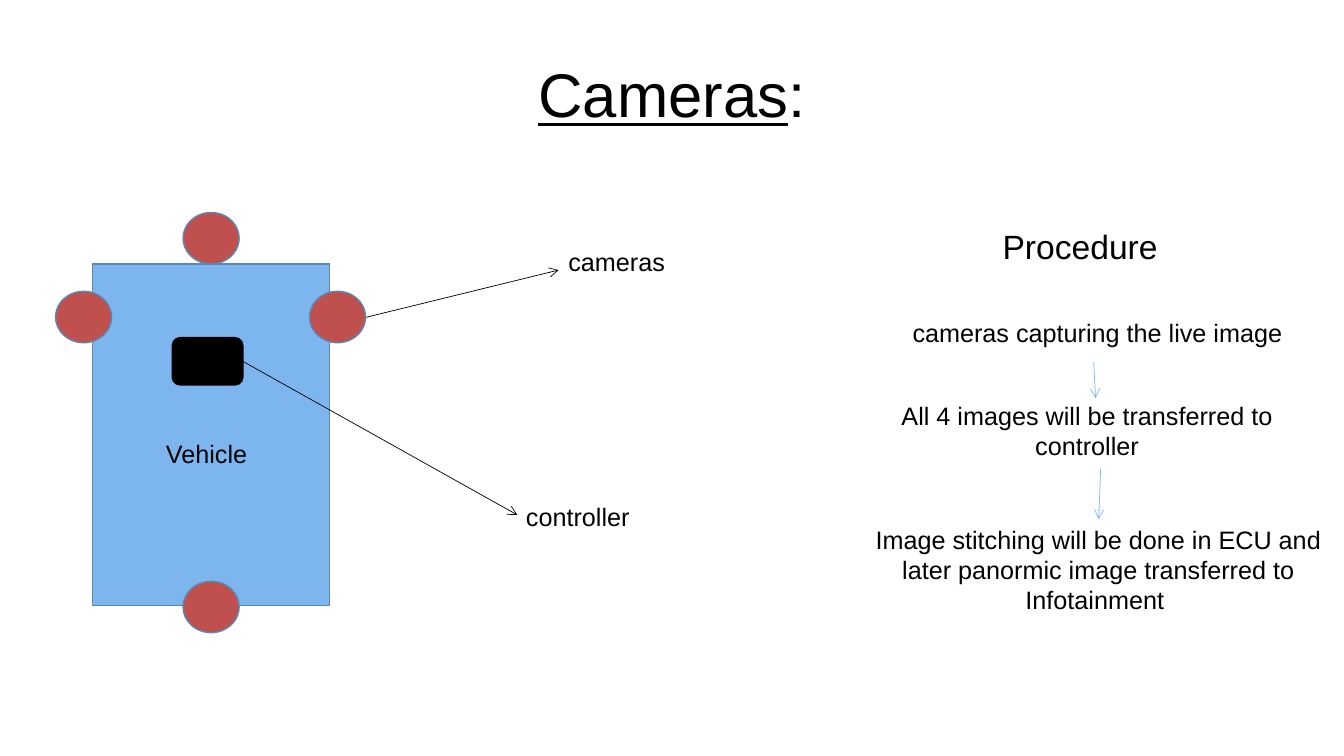
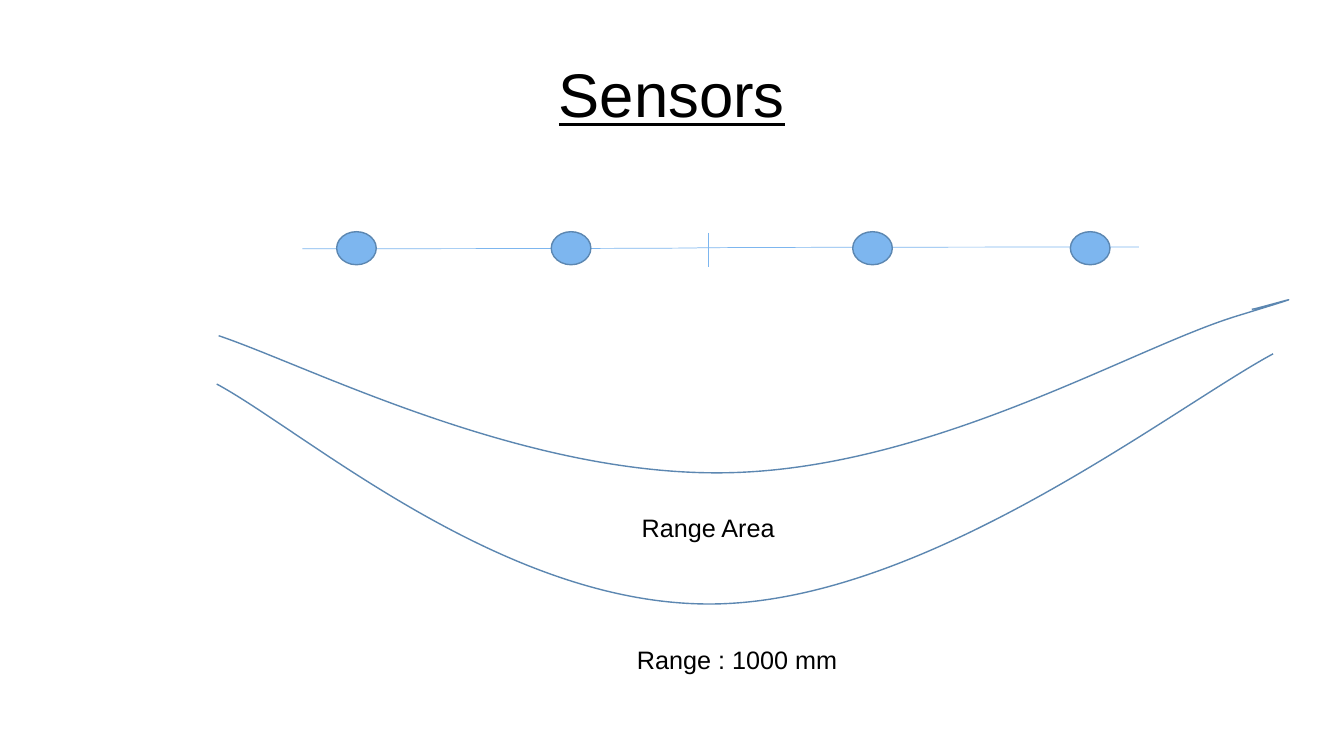
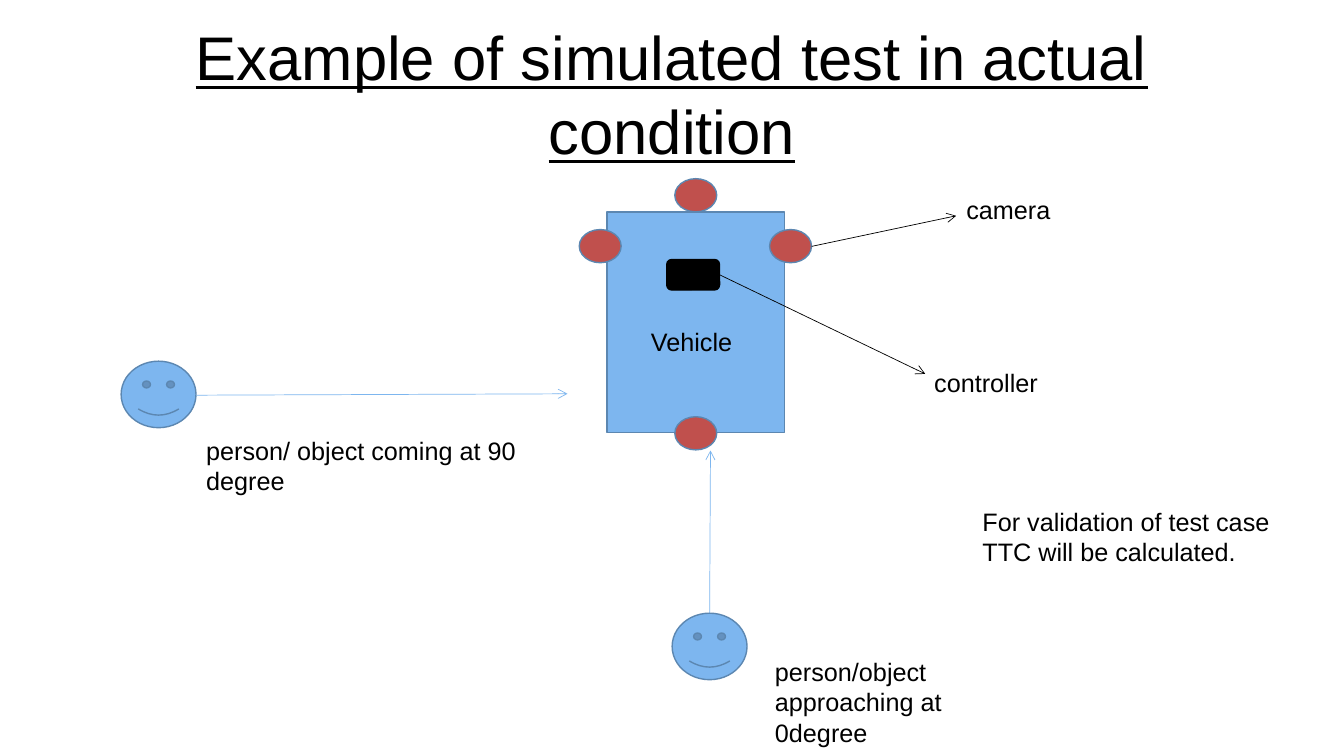
from lxml.etree import SubElement
from pptx import Presentation
from pptx.dml.color import RGBColor
from pptx.enum.shapes import MSO_CONNECTOR, MSO_SHAPE
from pptx.enum.text import MSO_ANCHOR, MSO_AUTO_SIZE, PP_ALIGN
from pptx.oxml.ns import qn
from pptx.util import Pt

BLACK = RGBColor(0x00, 0x00, 0x00)
SKY = RGBColor(0x7D, 0xB6, 0xEF)
STEEL = RGBColor(0x5C, 0x87, 0xB1)
RED = RGBColor(0xC0, 0x50, 0x4D)
FONT = "Arial"
TITLE_ONLY = 5
VEHICLE_WIDTH, VEHICLE_HEIGHT = 169.2, 244


def style_paragraph(para, size, align):
    """Give a paragraph the deck's font."""
    para.alignment = align
    para.font.name = FONT
    para.font.size = Pt(size)
    para.font.color.rgb = BLACK


def add_page(deck, title, suffix=""):
    """Add a slide with an underlined title and a plain suffix."""
    page = deck.slides.add_slide(deck.slide_layouts[TITLE_ONLY])
    box = page.shapes.title
    box.left, box.top, box.width, box.height = Pt(48), Pt(21.6), Pt(864), Pt(90)
    frame = box.text_frame
    frame.auto_size = MSO_AUTO_SIZE.NONE
    frame.vertical_anchor = MSO_ANCHOR.MIDDLE
    para = frame.paragraphs[0]
    style_paragraph(para, 44, PP_ALIGN.CENTER)
    span = para.add_run()
    span.text = title
    span.font.underline = True
    if suffix:
        para.add_run().text = suffix
    return page


def add_label(page, text, left, top, width, lines=1, size=18, align=PP_ALIGN.LEFT):
    """Add a wrapped text box that grows with its text."""
    height = 7.2 + lines * size * 1.2
    box = page.shapes.add_textbox(Pt(left), Pt(top), Pt(width), Pt(height))
    frame = box.text_frame
    frame.word_wrap = True
    frame.auto_size = MSO_AUTO_SIZE.SHAPE_TO_FIT_TEXT
    para = frame.paragraphs[0]
    para.text = text
    style_paragraph(para, size, align)


def add_figure(page, kind, left, top, width, height, fill=SKY, line=STEEL):
    """Add a filled and outlined preset shape."""
    shape = page.shapes.add_shape(kind, Pt(left), Pt(top), Pt(width), Pt(height))
    shape.shadow.inherit = False
    shape.fill.solid()
    shape.fill.fore_color.rgb = fill
    shape.line.color.rgb = line
    shape.line.width = Pt(1)


def add_line(page, start, end, color=SKY, arrow=True, kind=MSO_CONNECTOR.STRAIGHT):
    """Add a thin connector, with an open arrowhead if wanted."""
    ends = [Pt(value) for value in (*start, *end)]
    connector = page.shapes.add_connector(kind, *ends)
    connector.line.color.rgb = color
    connector.line.width = Pt(0.5)
    properties = connector.element.spPr
    if arrow:
        SubElement(properties.find(qn("a:ln")), qn("a:tailEnd"), type="arrow")
    SubElement(properties, qn("a:effectLst"))
    return connector


def add_curve(page, left, top, width, height, start, *segments):
    """Add an open chain of cubic Bezier segments in the given frame."""
    builder = page.shapes.build_freeform(Pt(left), Pt(top))
    builder.add_line_segments([(Pt(left + width), Pt(top + height))], close=False)
    curve = builder.convert_to_shape()
    outline = next(curve.element.iter(qn("a:path")))
    for step in list(outline):
        outline.remove(step)
    for tag, points in [("a:moveTo", [start])] + [("a:cubicBezTo", part) for part in segments]:
        step = SubElement(outline, qn(tag))
        for x, y in points:
            SubElement(step, qn("a:pt"), x=str(int(Pt(x - left))), y=str(int(Pt(y - top))))
    curve.shadow.inherit = False
    curve.fill.background()
    curve.line.color.rgb = STEEL
    curve.line.width = Pt(1)


def add_vehicle(page, left, top, width=VEHICLE_WIDTH, height=VEHICLE_HEIGHT):
    """Add the vehicle with four cameras, its controller and their arrows."""
    scale_x, scale_y = width / VEHICLE_WIDTH, height / VEHICLE_HEIGHT

    def place(x, y):
        return left + x * scale_x, top + y * scale_y

    def add_part(kind, x, y, part_width, part_height, fill, line):
        size = part_width * scale_x, part_height * scale_y
        add_figure(page, kind, *place(x, y), *size, fill, line)

    add_part(MSO_SHAPE.RECTANGLE, 0, 0, VEHICLE_WIDTH, VEHICLE_HEIGHT, SKY, STEEL)
    for x, y in ((64.6, -36.8), (64.6, 226.6), (154.9, 19.5), (-26.5, 19.5)):
        add_part(MSO_SHAPE.OVAL, x, y, 40, 36.7, RED, STEEL)
    add_label(page, "Vehicle ", *place(27.7, 121), 112.3 * scale_x, align=PP_ALIGN.CENTER)
    add_line(page, place(195.1, 38.1), place(332.8, 4.3), BLACK)
    add_part(MSO_SHAPE.ROUNDED_RECTANGLE, 56.9, 52.6, 50.4, 33.8, BLACK, BLACK)
    add_line(page, place(107.4, 69.6), place(303.3, 179.2), BLACK)
    add_label(page, "controller", *place(302.4, 166.3), 137.5 * scale_x)


def build_cameras(deck):
    """Build the slide on cameras and the image procedure."""
    page = add_page(deck, "Cameras", ":")
    add_vehicle(page, 66.2, 188.6)
    add_label(page, "cameras", 398.9, 172.4, 149)
    add_label(page, "Procedure", 592.6, 157.7, 357.8, size=24, align=PP_ALIGN.CENTER)
    steps = (
        ("cameras capturing the live image", 617.2, 223.2, 1),
        ("All 4 images will be transferred to controller", 609.8, 282.2, 2),
        ("Image stitching will be done in ECU and later panormic image "
         "transferred to Infotainment ", 617.8, 370.8, 3),
    )
    for text, left, top, lines in steps:
        add_label(page, text, left, top, 333.4, lines, align=PP_ALIGN.CENTER)
    add_line(page, (781.2, 258.5), (782.6, 284.4))
    add_line(page, (786.2, 334.8), (784.8, 370.8))


def build_sensors(deck):
    """Build the slide on sensors and their range."""
    page = add_page(deck, "Sensors")
    axis = add_line(page, (216, 177.7), (813.6, 176.5), arrow=False, kind=MSO_CONNECTOR.CURVE)
    guides = next(axis.element.iter(qn("a:avLst")))
    SubElement(guides, qn("a:gd"), name="adj1", fmla="val 47200")
    for left in (240.5, 393.8, 609.1, 764.6):
        add_figure(page, MSO_SHAPE.OVAL, left, 165.5, 28.3, 23.6)
    add_line(page, (505.8, 166.3), (505.8, 190.8), arrow=False)
    add_curve(page, 156.2, 213.8, 764.6, 123.8, (156.2, 239.8),
              ((221.8, 262), (374.4, 340.6), (519.8, 337.7)),
              ((665.3, 334.8), (807.8, 249.1), (882.7, 226)),
              ((957.6, 203), (899.3, 220.3), (894.2, 221)))
    add_curve(page, 154.8, 252.7, 754.6, 178.6, (154.8, 274.3),
              ((218.9, 308.9), (362.9, 435.6), (514, 431.3)),
              ((665.3, 427), (837.4, 291.6), (909.4, 252.7)))
    add_label(page, "Range Area", 374.4, 362.5, 262.8, align=PP_ALIGN.CENTER)
    add_label(page, "Range : 1000 mm", 447.9, 456.5, 180.7)


def build_test_example(deck):
    """Build the slide on the simulated test."""
    page = add_page(deck, "Example of simulated test in actual condition")
    for left, top in ((480.1, 438), (86.5, 258)):
        add_figure(page, MSO_SHAPE.SMILEY_FACE, left, top, 53.5, 47.5)
    add_line(page, (506.9, 437.8), (507.5, 321.8))
    add_line(page, (140.4, 282.3), (405.4, 281.3))
    add_label(page, "person/ object coming at 90 degree", 140.2, 307.4, 265, 2)
    add_label(page, "person/object approaching at 0degree", 546.5, 465.3, 175, 3)
    add_label(page, "For validation of test case TTC will be calculated.", 694.7, 357.8, 253.4, 2)
    add_vehicle(page, 433.6, 151.4, 126.8, 157.5)
    add_label(page, "camera", 683.2, 135.4, 103)


def main():
    """Build and save the deck."""
    deck = Presentation()
    deck.slide_width, deck.slide_height = Pt(960), Pt(540)
    build_cameras(deck)
    build_sensors(deck)
    build_test_example(deck)
    deck.save("out.pptx")


main()
